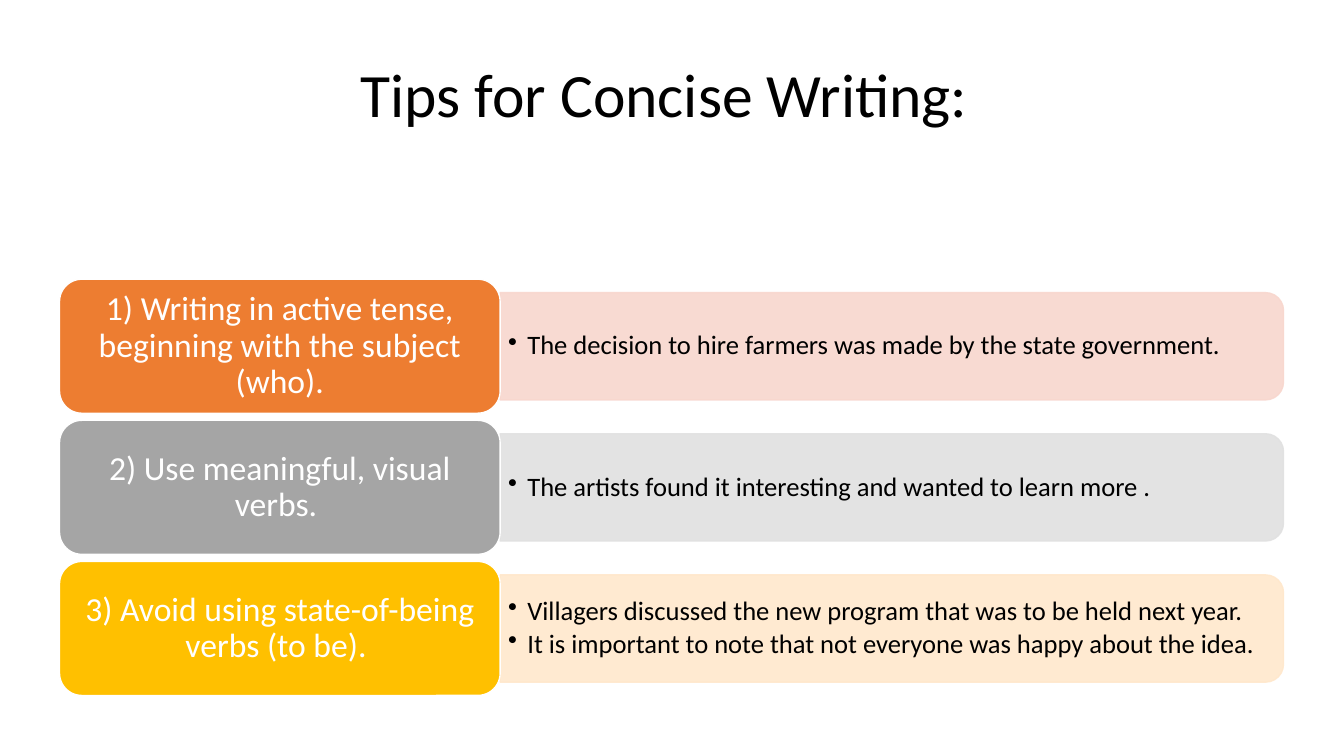
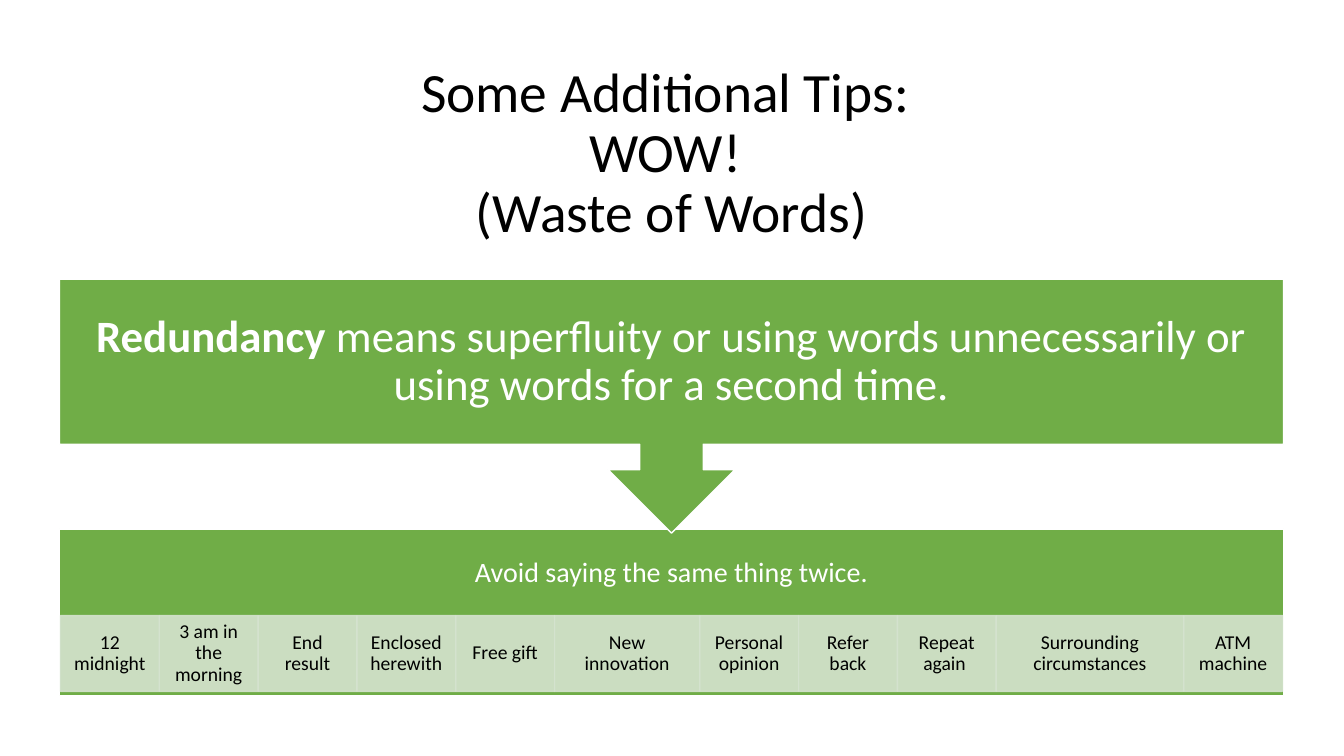
from pptx import Presentation
from pptx.dml.color import RGBColor as RGB
from pptx.enum.shapes import MSO_SHAPE as Shape
from pptx.enum.text import MSO_ANCHOR as Anchor, PP_ALIGN as Align
from pptx.oxml.ns import qn
from pptx.util import Inches, Pt
from lxml import etree

FONT = "Calibri"
COLORS = {
    "black": "000000", "white": "FFFFFF", "green": "70AD47", "mint": "D5E3CF",
    "orange": "ED7D31", "peach": "F8D7CE", "gray": "A5A5A5", "silver": "E1E1E1",
    "gold": "FFC000", "cream": "FFE8CC",
}
# Shared areas: left, top, width, height
TITLE = (0.59, 0.59, 12.14, 1.98)
BODY = (0.59, 2.77, 12.14, 4.13)

TIPS = [
    ("1) Writing in active tense, beginning with the subject (who).",
     ["The decision to hire farmers was made by the state government."],
     "orange", "peach"),
    ("2) Use meaningful, visual verbs. ",
     ["The artists found it interesting and wanted to learn more ."],
     "gray", "silver"),
    ("3) Avoid using state-of-being verbs (to be). ",
     ["Villagers discussed the new program that was to be held next year.",
      "It is important to note that not everyone was happy about the idea."],
     "gold", "cream"),
]
# Phrase and column width
PHRASES = [
    ("12 midnight", 0.98), ("3 am in the morning", 0.98), ("End result", 0.98),
    ("Enclosed herewith", 0.98), ("Free gift", 0.98), ("New innovation", 1.44),
    ("Personal opinion", 0.98), ("Refer back", 0.98), ("Repeat again ", 0.98),
    ("Surrounding circumstances", 1.86), ("ATM machine", 0.98),
]


def rgb(name):
    return RGB.from_string(COLORS[name])


def inches(box):
    return [Inches(v) for v in box]


def add_bullet(para, indent):
    props = para._p.get_or_add_pPr()
    props.set("marL", str(Inches(indent)))
    props.set("indent", str(-Inches(indent)))
    etree.SubElement(props, qn("a:buChar")).set("char", "•")


def write(shape, lines, size, color="black", align=Align.CENTER, anchor=Anchor.MIDDLE,
          pad=(0.1, 0.05, 0.1, 0.05), after=0, bullet=False):
    """Fill a shape with paragraphs; a line is a string or a list of (text, bold)."""
    frame = shape.text_frame
    frame.word_wrap = True
    frame.vertical_anchor = anchor
    (frame.margin_left, frame.margin_top,
     frame.margin_right, frame.margin_bottom) = inches(pad)
    for i, line in enumerate(lines):
        para = frame.add_paragraph() if i else frame.paragraphs[0]
        para.alignment = align
        para.line_spacing = 0.9
        para.space_after = Pt(after)
        if bullet:
            add_bullet(para, 0.19)
        for text, bold in [(line, False)] if isinstance(line, str) else line:
            run = para.add_run()
            run.text = text
            font = run.font
            font.name, font.size, font.bold = FONT, Pt(size), bold
            font.color.rgb = rgb(color)


def add_block(slide, kind, box, fill, edge="white", alpha=None):
    shape = slide.shapes.add_shape(kind, *inches(box))
    shape.shadow.inherit = False
    shape.fill.solid()
    shape.fill.fore_color.rgb = rgb(fill)
    shape.line.color.rgb = rgb(edge)
    shape.line.width = Pt(1)
    if alpha:
        for tint in shape._element.spPr.iter(qn("a:srgbClr")):
            etree.SubElement(tint, qn("a:alpha")).set("val", str(alpha * 1000))
    return shape


def add_title(slide, lines, size):
    write(slide.shapes.add_textbox(*inches(TITLE)), lines, size, anchor=Anchor.TOP)


def add_tip(slide, box, label, notes, fill, tint):
    left, top, width, height = box
    split = width * 0.36
    # Pale bar, rounded on its right end only
    wide, high = width - split, height * 0.8
    x, y = left + split, top + height * 0.1
    bar = add_block(slide, Shape.ROUND_2_SAME_RECTANGLE,
                    (x + (wide - high) / 2, y + (high - wide) / 2, high, wide),
                    tint, edge=tint, alpha=90)
    bar.rotation = 90
    write(slide.shapes.add_textbox(*inches((x, y, wide, high))), notes, 19,
          align=Align.LEFT, pad=(0.08, 0.04, 0.08, 0.04), after=3, bullet=True)
    # Label on the left
    tag = add_block(slide, Shape.ROUNDED_RECTANGLE, (left, top, split, height), fill)
    write(tag, [label], 24, color="white")


def add_tips(slide, box):
    left, top, width, height = box
    pitch = 1.4
    row = height - pitch * (len(TIPS) - 1)
    for i, tip in enumerate(TIPS):
        add_tip(slide, (left, top + i * pitch, width, row), *tip)


def add_phrases(slide, box):
    left, top, width, height = box
    unit = width / sum(share for _, share in PHRASES)
    for phrase, share in PHRASES:
        cell = add_block(slide, Shape.RECTANGLE, (left, top, share * unit, height),
                         "mint", edge="mint", alpha=90)
        write(cell, [phrase], 14, pad=(0.11, 0.02, 0.11, 0.02))
        left += share * unit


def add_flow(slide, box):
    left, top, width, height = box
    # Lower band: heading above a row of phrases
    band = height * 0.4
    head = band * 0.535
    base = top + height - band
    lower = add_block(slide, Shape.RECTANGLE, (left, base, width, band), "green")
    write(lower, ["Avoid saying the same thing twice."], 20, color="white",
          pad=(0.16, 0.16, 0.16, band - head + 0.16))
    add_phrases(slide, (left + 0.01, base + band * 0.52, width - 0.02, band * 0.455))
    # Definition with an arrow down to the band
    upper = add_block(slide, Shape.DOWN_ARROW_CALLOUT,
                      (left, top, width, height * 0.61), "green")
    write(upper, [[("Redundancy", True),
                   (" means superfluity or using words unnecessarily or using words "
                    "for a second time.", False)]],
          32, color="white", pad=(0.25,) * 4)


def main():
    deck = Presentation()
    deck.slide_width, deck.slide_height = Inches(13.33), Inches(7.5)
    pages = [
        (["Tips for Concise Writing: "], 44, add_tips),
        (["Some Additional Tips: ", "WOW! ", "(Waste of Words)"], 39.6, add_flow),
    ]
    for lines, size, body in pages:
        slide = deck.slides.add_slide(deck.slide_layouts[6])
        add_title(slide, lines, size)
        body(slide, BODY)
    deck.save("out.pptx")


if __name__ == "__main__":
    main()
